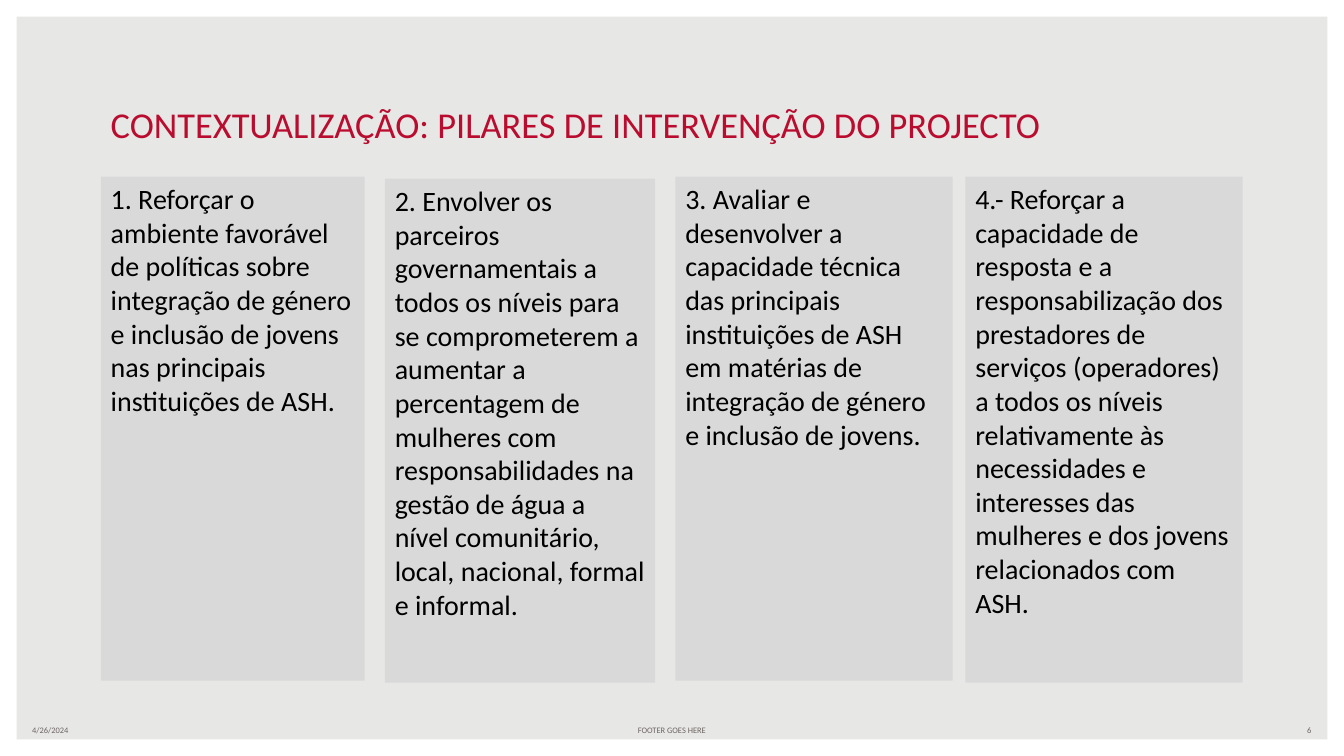
from pptx import Presentation
from pptx.dml.color import RGBColor
from pptx.enum.shapes import MSO_SHAPE
from pptx.enum.text import MSO_ANCHOR, MSO_AUTO_SIZE, PP_ALIGN
from pptx.util import Cm, Pt

FRAME, RECT = MSO_SHAPE.FRAME, MSO_SHAPE.RECTANGLE
TOP, MID, BASE = MSO_ANCHOR.TOP, MSO_ANCHOR.MIDDLE, MSO_ANCHOR.BOTTOM
LEFT, CENTER, RIGHT = PP_ALIGN.LEFT, PP_ALIGN.CENTER, PP_ALIGN.RIGHT
NO_FIT = MSO_AUTO_SIZE.NONE
WIDE, HIGH = 33.87, 19.05
COLORS = {"back": "E7E7E5", "frame": "FFFFFF", "panel": "D9D9D9",
          "title": "BA0C2F", "body": "000000", "foot": "6C6463"}
TITLE = "CONTEXTUALIZAÇÃO: PILARES DE INTERVENÇÃO DO PROJECTO"
PILLARS = [
    ((2.54, 4.45, 6.65, 12.7),
     "1. Reforçar o ambiente favorável de políticas sobre integração de "
     "género e inclusão de jovens nas principais instituições de ASH."),
    ((9.7, 4.5, 6.81, 12.7),
     "2. Envolver os parceiros governamentais a todos os níveis para se "
     "comprometerem a aumentar a percentagem de mulheres com "
     "responsabilidades na gestão de água a nível comunitário, local, "
     "nacional, formal e informal."),
    ((17.02, 4.45, 6.99, 12.7),
     "3. Avaliar e desenvolver a capacidade técnica das principais "
     "instituições de ASH em matérias de integração de género e inclusão "
     "de jovens."),
    ((24.33, 4.45, 6.99, 12.75),
     "4.- Reforçar a capacidade de resposta e a responsabilização dos "
     "prestadores de serviços (operadores) a todos os níveis relativamente "
     "às necessidades e interesses das mulheres e dos jovens relacionados "
     "com ASH."),
]


def color(name):
    """Return the named colour."""
    return RGBColor.from_string(COLORS[name])


def write(shape, text, size=20, ink="body", align=LEFT, anchor=TOP, after=0):
    """Put formatted text into a shape."""
    frame = shape.text_frame
    frame.word_wrap = True
    frame.auto_size = NO_FIT
    frame.vertical_anchor = anchor
    frame.margin_left = frame.margin_right = Cm(0.25)
    frame.margin_top = frame.margin_bottom = Cm(0.13)
    para = frame.paragraphs[0]
    para.alignment = align
    para.line_spacing = 1.0
    para.space_before = Pt(0)
    para.space_after = Pt(after)
    run = para.add_run()
    run.text = text
    run.font.name = "Calibri"
    run.font.size = Pt(size)
    run.font.color.rgb = color(ink)


def block(slide, kind, box, fill):
    """Draw a plain filled shape in the box."""
    shape = slide.shapes.add_shape(kind, *map(Cm, box))
    shape.shadow.inherit = False
    shape.fill.solid()
    shape.fill.fore_color.rgb = color(fill)
    shape.line.fill.background()
    return shape


def backdrop(slide, box):
    """Colour the slide and frame its edge."""
    slide.background.fill.solid()
    slide.background.fill.fore_color.rgb = color("back")
    block(slide, FRAME, box, "frame").adjustments[0] = 0.022


def header(slide, box):
    """Place the title in the box."""
    title = slide.shapes.title
    title.left, title.top, title.width, title.height = map(Cm, box)
    write(title, TITLE, size=26, ink="title", anchor=BASE)


def pillar(slide, box, text):
    """Draw one pillar panel with its text."""
    write(block(slide, RECT, box, "panel"), text, after=12)


def footer(slide, box):
    """Place date, footer and number across the box."""
    left, top, width, height = box
    parts = [("4/26/2024", LEFT, 7.9, 0), ("FOOTER GOES HERE", CENTER, 10.72, 0.5),
             ("6", RIGHT, 7.9, 1)]
    for text, align, wide, share in parts:
        spot = (left + (width - wide) * share, top, wide, height)
        note = slide.shapes.add_textbox(*map(Cm, spot))
        write(note, text, size=6, ink="foot", align=align, anchor=MID)


def main():
    """Build and save the slide."""
    deck = Presentation()
    deck.slide_width, deck.slide_height = Cm(WIDE), Cm(HIGH)
    slide = deck.slides.add_slide(deck.slide_layouts[5])
    backdrop(slide, (0, 0, WIDE, HIGH))
    header(slide, (2.54, 2.44, 28.78, 1.37))
    for box, text in PILLARS:
        pillar(slide, box, text)
    footer(slide, (0.56, 18.14, 32.74, 0.5))
    deck.save("out.pptx")


if __name__ == "__main__":
    main()
